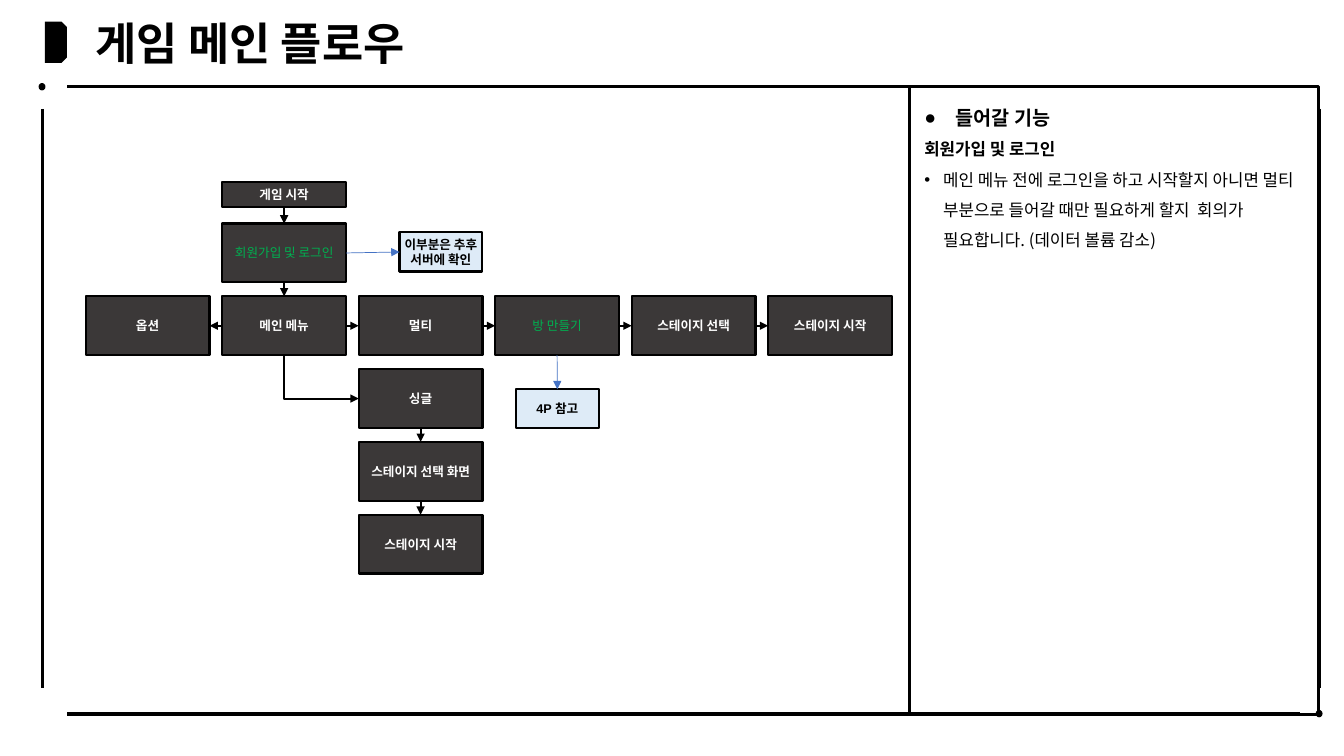
from dataclasses import dataclass

import pptx
import pptx.dml.color
import pptx.enum.dml
import pptx.enum.shapes
import pptx.enum.text
import pptx.oxml
import pptx.oxml.ns
import pptx.util

Pt = pptx.util.Pt
SHAPE = pptx.enum.shapes.MSO_SHAPE
CONNECTOR = pptx.enum.shapes.MSO_CONNECTOR
ALIGN = pptx.enum.text.PP_ALIGN
ANCHOR = pptx.enum.text.MSO_ANCHOR
AUTO_SIZE = pptx.enum.text.MSO_AUTO_SIZE
TOP, LEFT, BOTTOM, RIGHT = range(4)  # connection sites of a rectangle


@dataclass(frozen=True)
class Theme:
    ink: str = "000000"
    paper: str = "FFFFFF"
    box: str = "3B3838"
    note: str = "DEEBF7"
    pending: str = "00B050"
    link: str = "4472C4"
    latin: str = "Arial"
    korean: str = "Noto Sans CJK KR"
    title: int = 32
    heading: int = 14
    body: int = 12
    label: int = 9


THEME = Theme()
BOX_W, BOX_H = 88.5, 42
COL_X, COL_STEP = 61.2, 97.5
ROW_Y, ROW_STEP = 211.7, 52
NOTE_W, NOTE_H = 59, 28


def rgb(color):
    return pptx.dml.color.RGBColor.from_string(color)


def add_xml(parent, tag, **attrs):
    el = pptx.oxml.ns.qn(tag)
    child = parent.makeelement(el, attrs)
    parent.append(child)
    return child


def write_text(p, text, size, color=THEME.ink, bold=True, font=THEME.latin,
               align=ALIGN.LEFT, spacing=1.0):
    p.alignment = align
    p.line_spacing = spacing
    p.space_before = p.space_after = Pt(0)
    r = p.add_run()
    r.text = text
    r.font.size = Pt(size)
    r.font.bold = bold
    r.font.name = font
    r.font.color.rgb = rgb(color)
    add_xml(r.font._element, "a:ea", typeface=THEME.korean)


def set_bullet(p, char=None, indent=0):
    pPr = p._p.get_or_add_pPr()
    pPr.set("marL", str(Pt(indent)))
    pPr.set("indent", str(-Pt(indent)))
    if char:
        add_xml(pPr, "a:buFont", typeface=THEME.latin)
        add_xml(pPr, "a:buChar", char=char)
    else:
        add_xml(pPr, "a:buNone")


def place(sp, left, top, width, height):
    sp.left, sp.top, sp.width, sp.height = map(Pt, (left, top, width, height))


def add_shape(s, kind, bounds, fill=None, line=None, weight=1.5):
    sp = s.shapes.add_shape(kind, *map(Pt, bounds))
    sp.shadow.inherit = False
    if fill:
        sp.fill.solid()
        sp.fill.fore_color.rgb = rgb(fill)
    else:
        sp.fill.background()
    if line:
        sp.line.color.rgb = rgb(line)
        sp.line.width = Pt(weight)
    else:
        sp.line.fill.background()
    return sp


def add_box(s, lines, bounds, fill=THEME.box, **fmt):
    sp = add_shape(s, SHAPE.RECTANGLE, bounds, fill, THEME.ink)
    tf = sp.text_frame
    tf.word_wrap = False
    tf.vertical_anchor = ANCHOR.MIDDLE
    for i, text in enumerate(lines):
        p = tf.add_paragraph() if i else tf.paragraphs[0]
        write_text(p, text, THEME.label, align=ALIGN.CENTER, **fmt)
    return sp


def add_step(s, text, col, row, pending=False):
    bounds = COL_X + col * COL_STEP, ROW_Y + row * ROW_STEP, BOX_W, BOX_H
    color = THEME.pending if pending else THEME.paper
    return add_box(s, [text], bounds, color=color, bold=not pending)


def add_note(s, lines, left, top):
    return add_box(s, lines, (left, top, NOTE_W, NOTE_H), THEME.note)


def add_line(s, x1, y1, x2, y2, color=THEME.ink, weight=2.25, kind=CONNECTOR.STRAIGHT):
    c = s.shapes.add_connector(kind, Pt(x1), Pt(y1), Pt(x2), Pt(y2))
    c.line.color.rgb = rgb(color)
    c.line.width = Pt(weight)
    add_xml(c._element.spPr, "a:effectLst")
    return c


def add_arrow(s, source, site, target, target_site, color=THEME.ink, weight=1.5,
              kind=CONNECTOR.STRAIGHT):
    c = add_line(s, 0, 0, 0, 0, color, weight, kind)
    c.begin_connect(source, site)
    c.end_connect(target, target_site)
    add_xml(c.line._get_or_add_ln(), "a:tailEnd", type="triangle")
    return c


def add_corner_arrow(s, source, target):
    """Arrow that leaves the source downwards and enters the target from its left."""
    c = add_arrow(s, source, BOTTOM, target, LEFT, kind=CONNECTOR.ELBOW)
    mid_x, mid_y = c.left + c.width // 2, c.top + c.height // 2
    width, height = c.height, c.width
    c.left, c.top = mid_x - width // 2, mid_y - height // 2
    c.width, c.height = width, height
    spPr = c._element.spPr
    spPr.find(pptx.oxml.ns.qn("a:prstGeom")).set("prst", "bentConnector2")
    xfrm = spPr.find(pptx.oxml.ns.qn("a:xfrm"))
    xfrm.set("rot", "16200000")
    xfrm.set("flipH", "1")


def add_title(s, text):
    sp = s.shapes.title
    place(sp, 61.2, -19.4, 828, 104.4)
    sp.text_frame.vertical_anchor = ANCHOR.MIDDLE
    write_text(sp.text_frame.paragraphs[0], text, THEME.title, spacing=0.9)
    marker = add_shape(s, SHAPE.SNIP_2_SAME_RECTANGLE, (25.2, 22.3, 29.5, 15.8), THEME.ink)
    marker.adjustments[0], marker.adjustments[1] = 0, 0.25
    marker.rotation = 270


def add_flow(s):
    start = add_box(s, ["게임 시작"], (COL_X + COL_STEP, 130.3, BOX_W, 17.3),
                    color=THEME.paper)
    login = add_step(s, "회원가입 및 로그인", 1, -1, pending=True)
    option = add_step(s, "옵션", 0, 0)
    menu = add_step(s, "메인 메뉴", 1, 0)
    multi = add_step(s, "멀티", 2, 0)
    room = add_step(s, "방 만들기", 3, 0, pending=True)
    multi_path = [menu, multi, room, add_step(s, "스테이지 선택", 4, 0),
                  add_step(s, "스테이지 시작", 5, 0)]
    single_path = [add_step(s, text, 2, row) for row, text in
                   enumerate(["싱글", "스테이지 선택 화면", "스테이지 시작"], 1)]

    for path, site, target_site in (([start, login, menu], BOTTOM, TOP),
                                    (multi_path, RIGHT, LEFT),
                                    (single_path, BOTTOM, TOP),
                                    ([menu, option], LEFT, RIGHT)):
        for a, b in zip(path, path[1:]):
            add_arrow(s, a, site, b, target_site)
    add_corner_arrow(s, menu, single_path[0])

    server_note = add_note(s, ["이부분은 추후", "서버에 확인"], 285.4, 166)
    page_note = add_note(s, ["4P 참고"], 368.6, 278)
    add_arrow(s, login, RIGHT, server_note, LEFT, THEME.link, 0.5)
    add_arrow(s, room, BOTTOM, page_note, TOP, THEME.link, 0.5)


def add_frame(s):
    add_shape(s, SHAPE.RECTANGLE, (649.5, 62, 292.5, 448.5), line=THEME.ink, weight=2.25)
    for y in (62, 510):
        add_line(s, 48.2, y, 928.8, y)
    for x in (30.2, 942.5):
        add_line(s, x, 77.8, x, 491.8)
    for left, top in ((28.1, 59.8), (940.3, 507.6)):
        add_shape(s, SHAPE.OVAL, (left, top, 3.9, 4.3), THEME.ink, THEME.ink, 1)


def add_feature_list(s):
    sp = s.placeholders[1]
    place(sp, 653, 63.4, 287.3, 117.4)
    tf = sp.text_frame
    tf.auto_size = AUTO_SIZE.NONE
    items = [
        ("들어갈 기능", THEME.heading, True, "●", 22.5),
        ("회원가입 및 로그인", THEME.body, True, None, 0),
        ("메인 메뉴 전에 로그인을 하고 시작할지 아니면 멀티 부분으로 들어갈 때만 "
         "필요하게 할지  회의가 필요합니다. (데이터 볼륨 감소)", THEME.body, False, "•", 13.5),
    ]
    for i, (text, size, bold, char, indent) in enumerate(items):
        p = tf.add_paragraph() if i else tf.paragraphs[0]
        write_text(p, text, size, bold=bold, font=THEME.korean, spacing=1.5)
        set_bullet(p, char, indent)


def main():
    prs = pptx.Presentation()
    prs.slide_width, prs.slide_height = Pt(960), Pt(540)
    s = prs.slides.add_slide(prs.slide_layouts[1])
    add_title(s, "게임 메인 플로우")
    add_flow(s)
    add_frame(s)
    add_feature_list(s)
    prs.save("out.pptx")


if __name__ == "__main__":
    main()
